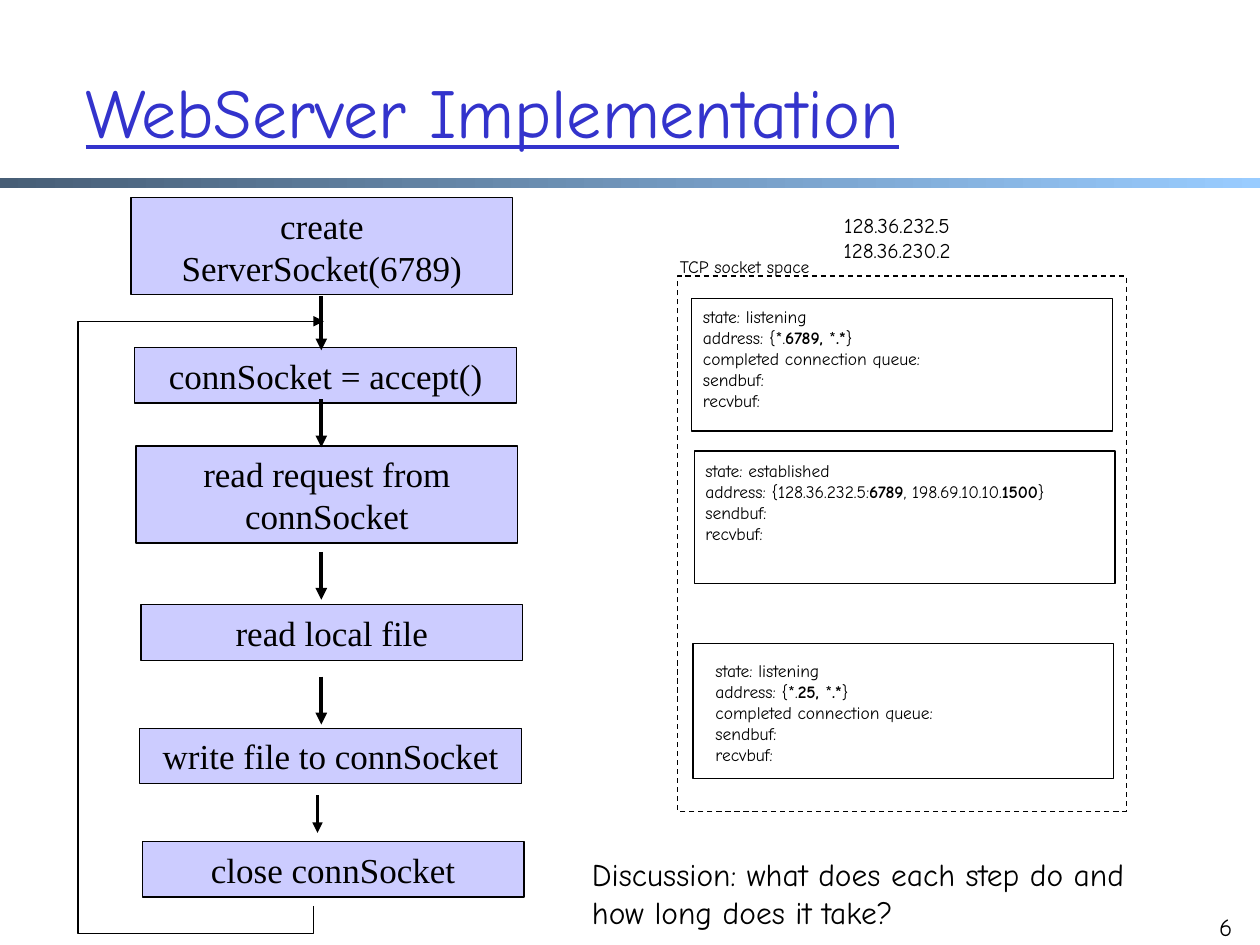
from typing import NamedTuple

from lxml import etree
from pptx import Presentation
from pptx import util as u
from pptx.dml.color import RGBColor
from pptx.enum import dml, shapes, text
from pptx.oxml.ns import qn

SANS, SERIF = "Comic Neue", "Times New Roman"
BLACK, BLUE, LILAC = "000000", "3333CC", "CCCCFF"
LEFT, MID, RIGHT = text.PP_ALIGN.LEFT, text.PP_ALIGN.CENTER, text.PP_ALIGN.RIGHT


class Step(NamedTuple):
    label: str
    x: float
    y: float
    h: float = 0.44


class Arrow(NamedTuple):
    x: float
    top: float
    end: float
    width: float = 2.25


class Socket(NamedTuple):
    x: float
    y: float
    h: float
    text_x: float
    text_y: float
    lines: list  # each line is a list of (words, bold) runs


STEPS = [
    Step("create ServerSocket(6789)", 1.04, 1.57, 0.77),
    Step("connSocket = accept()", 1.07, 2.76),
    Step("read request from connSocket", 1.08, 3.54, 0.77),
    Step("read local file", 1.12, 4.8),
    Step("write file to connSocket", 1.11, 5.78),
    Step("close connSocket", 1.13, 6.68),
]
ARROWS = [
    Arrow(2.55, 2.35, 2.78),
    Arrow(2.55, 3.17, 3.55),
    Arrow(2.55, 4.38, 4.76),
    Arrow(2.55, 5.37, 5.75),
    Arrow(2.52, 6.31, 6.61, 1.5),
]
LOOP = [(2.49, 7.19), (2.49, 7.41), (0.62, 7.41), (0.62, 2.55), (2.57, 2.55)]


def plain(*lines: str) -> list:
    return [[(line, False)] for line in lines]


def listen(port: str) -> list:
    address = [("address: {*.", False), (port + ", ", True), ("*", False),
               (".*", True), ("}", False)]
    return [*plain("state: listening"), address,
            *plain("completed connection queue:", "sendbuf:", "recvbuf:")]


LINKED = [
    *plain("state: established"),
    [("address: {128.36.232.5:", False), ("6789", True),
     (", 198.69.10.10.", False), ("1500", True), ("}", False)],
    *plain("sendbuf:", "recvbuf:"),
]
SOCKETS = [
    Socket(5.49, 2.37, 1.05, 5.48, 2.38, listen("6789")),
    Socket(5.51, 3.58, 1.05, 5.5, 3.6, LINKED),
    Socket(5.5, 5.11, 1.07, 5.58, 5.19, listen("25")),
]


def rgb(code: str) -> RGBColor:
    return RGBColor.from_string(code)


def write(frame, lines: list, size: float, face: str = SANS,
          color: str = BLACK, align=LEFT, under: bool = False) -> None:
    frame.word_wrap = True
    for i, line in enumerate(lines):
        para = frame.paragraphs[0] if i == 0 else frame.add_paragraph()
        para.alignment = align
        for words, bold in line:
            run = para.add_run()
            run.text = words
            font = run.font
            font.name, font.size, font.bold = face, u.Pt(size), bold
            font.underline = under
            font.color.rgb = rgb(color)


def label(slide, x: float, y: float, w: float, h: float, lines: list,
          size: float, align=LEFT) -> None:
    box = slide.shapes.add_textbox(*map(u.Inches, (x, y, w, h)))
    write(box.text_frame, lines, size, align=align)


def rect(slide, x: float, y: float, w: float, h: float, fill: str = ""):
    box = slide.shapes.add_shape(shapes.MSO_SHAPE.RECTANGLE,
                                 *map(u.Inches, (x, y, w, h)))
    box.shadow.inherit = False
    if fill:
        box.fill.solid()
        box.fill.fore_color.rgb = rgb(fill)
    else:
        box.fill.background()
    box.line.color.rgb = rgb(BLACK)
    box.line.width = u.Pt(0.75)
    return box


def point(shape, width: float) -> None:
    """Black line with an arrowhead at its end."""
    shape.line.color.rgb = rgb(BLACK)
    shape.line.width = u.Pt(width)
    ln = shape.line._get_or_add_ln()
    etree.SubElement(ln, qn("a:tailEnd"), type="triangle")


def draw_step(slide, step: Step) -> None:
    box = rect(slide, step.x, step.y, 3.03, step.h, LILAC)
    box.text_frame.vertical_anchor = text.MSO_ANCHOR.MIDDLE
    write(box.text_frame, plain(step.label), 20, SERIF, align=MID)


def draw_arrow(slide, arrow: Arrow) -> None:
    ends = map(u.Inches, (arrow.x, arrow.top, arrow.x, arrow.end))
    line = slide.shapes.add_connector(shapes.MSO_CONNECTOR.STRAIGHT, *ends)
    point(line, arrow.width)
    etree.SubElement(line._element.spPr, qn("a:effectLst"))


def draw_loop(slide) -> None:
    first, *rest = [(u.Inches(x), u.Inches(y)) for x, y in LOOP]
    pen = slide.shapes.build_freeform(*first)
    pen.add_line_segments(rest, close=False)
    loop = pen.convert_to_shape()
    loop.shadow.inherit = False
    loop.fill.background()
    point(loop, 0.75)


def draw_socket(slide, sock: Socket) -> None:
    rect(slide, sock.x, sock.y, 3.34, sock.h)
    label(slide, sock.text_x, sock.text_y, 3.42, 0.93, sock.lines, 10)


def main() -> None:
    deck = Presentation()
    deck.slide_width, deck.slide_height = u.Inches(10), u.Inches(7.5)
    slide = deck.slides.add_slide(deck.slide_layouts[5])

    # Title and the bar beneath it
    title = slide.shapes.title
    title.left, title.top = u.Inches(0.58), u.Inches(0.25)
    title.width, title.height = u.Inches(8.5), u.Inches(1.25)
    title.text_frame.vertical_anchor = text.MSO_ANCHOR.MIDDLE
    write(title.text_frame, plain("WebServer Implementation"), 40,
          color=BLUE, under=True)
    bar = rect(slide, 0, 1.41, 10, 0.08)
    bar.line.fill.background()
    bar.fill.gradient()
    bar.fill.gradient_angle = 0
    for stop, code in zip(bar.fill.gradient_stops, ("475E76", "99CCFF")):
        stop.color.rgb = rgb(code)

    # Socket space
    space = rect(slide, 5.38, 2.19, 3.56, 4.25)
    space.line.dash_style = dml.MSO_LINE.DASH
    label(slide, 5.25, 1.98, 1.32, 0.27, plain("TCP socket space"), 10, MID)
    label(slide, 6.41, 1.64, 1.42, 0.5,
          plain("128.36.232.5", "128.36.230.2"), 12, MID)
    for sock in SOCKETS:
        draw_socket(slide, sock)

    # Server flow
    for step in STEPS:
        draw_step(slide, step)
    for arrow in ARROWS:
        draw_arrow(slide, arrow)
    draw_loop(slide)

    # Question and page number
    label(slide, 4.6, 6.74, 4.6, 0.71, plain(
        "Discussion: what does each step do and how long does it take?"), 18)
    label(slide, 9.38, 7.19, 0.5, 0.5, plain("6"), 14, RIGHT)
    deck.save("out.pptx")


if __name__ == "__main__":
    main()
